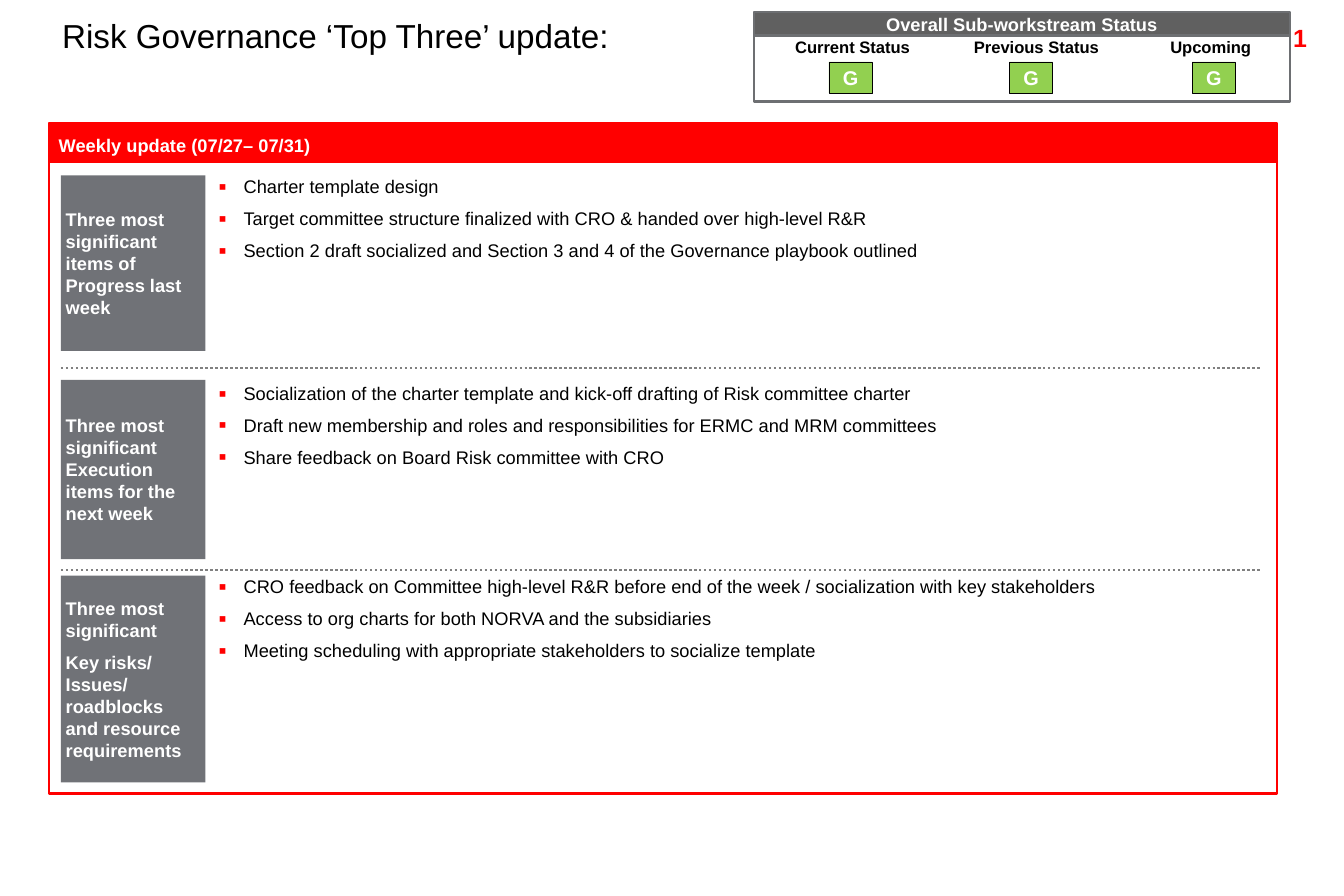
"""Build the weekly Risk Governance 'Top Three' status slide."""
from dataclasses import dataclass

from lxml import etree
from pptx import Presentation
from pptx.dml.color import RGBColor
from pptx.enum.dml import MSO_LINE
from pptx.enum.shapes import MSO_CONNECTOR, MSO_SHAPE
from pptx.enum.text import MSO_ANCHOR, MSO_AUTO_SIZE, PP_ALIGN
from pptx.oxml.ns import qn
from pptx.util import Pt

LEFT, CENTER, RIGHT = PP_ALIGN.LEFT, PP_ALIGN.CENTER, PP_ALIGN.RIGHT
TOP, MIDDLE = MSO_ANCHOR.TOP, MSO_ANCHOR.MIDDLE
RECT, STRAIGHT = MSO_SHAPE.RECTANGLE, MSO_CONNECTOR.STRAIGHT
DOTTED = MSO_LINE.ROUND_DOT
NO_AUTOFIT = MSO_AUTO_SIZE.NONE


@dataclass(frozen=True)
class Theme:
    """Fonts, colours and type sizes of the slide."""
    font: str = "Arial"
    red: str = "FF0000"
    black: str = "000000"
    white: str = "FFFFFF"
    label: str = "707277"
    banner: str = "606060"
    frame: str = "6D6F72"
    divider: str = "808080"
    green: str = "92D050"
    title: float = 20
    number: float = 15
    chip: float = 12
    body: float = 11
    small: float = 10


THEME = Theme()

STATUSES = [
    ("Current Status ", "G", 515.2, 512.6),
    ("Previous Status", "G", 624.6, 621.4),
    ("Upcoming", "G", 729.7, 731.5),
]

SECTIONS = [
    (105.8, 105.8, 105.8,
     ["Three most significant items of Progress last week"],
     ["Charter template design",
      "Target committee structure finalized with CRO & handed over high-level R&R",
      "Section 2 draft socialized and Section 3 and 4 of the Governance playbook outlined"]),
    (229, 108, 230.4,
     ["Three most significant Execution items for the next week"],
     ["Socialization of the charter template and kick-off drafting of Risk committee charter",
      "Draft new membership and roles and responsibilities for ERMC and MRM committees",
      "Share feedback on Board Risk committee with CRO"]),
    (347, 124.6, 347,
     ["Three most significant",
      "Key risks/ Issues/ roadblocks and resource requirements"],
     ["CRO feedback on Committee high-level R&R before end of the week / socialization with key stakeholders",
      "Access to org charts for both NORVA and the subsidiaries",
      "Meeting scheduling with appropriate stakeholders to socialize template"]),
]

DIVIDERS = [221.8, 343.4]


def rgb(color):
    """Turn a hex string into a colour."""
    return RGBColor.from_string(color)


def write(sp, lines, size, color, bold=False, align=LEFT, anchor=TOP,
          inset=(7.2, 3.6), before=0):
    """Fill a shape with formatted paragraphs."""
    tf = sp.text_frame
    tf.word_wrap = True
    tf.vertical_anchor = anchor
    tf.margin_left = tf.margin_right = Pt(inset[0])
    tf.margin_top = tf.margin_bottom = Pt(inset[1])
    tf.text = "\n".join(lines)
    for p in tf.paragraphs:
        p.alignment = align
        p.space_before = Pt(before)
        for r in p.runs:
            r.font.name = THEME.font
            r.font.size = Pt(size)
            r.font.bold = bold
            r.font.color.rgb = rgb(color)
    return tf


def add_box(shapes, x, y, w, h, fill, line=None, weight=1.5):
    """Add a flat rectangle."""
    sp = shapes.add_shape(RECT, Pt(x), Pt(y), Pt(w), Pt(h))
    sp.shadow.inherit = False
    sp.fill.solid()
    sp.fill.fore_color.rgb = rgb(fill)
    if line:
        sp.line.color.rgb = rgb(line)
        sp.line.width = Pt(weight)
    else:
        sp.line.fill.background()
    return sp


def add_text(shapes, x, y, w, h, lines, size, color, **style):
    """Add a text box."""
    sp = shapes.add_textbox(Pt(x), Pt(y), Pt(w), Pt(h))
    return write(sp, lines, size, color, **style)


def add_bullets(shapes, y, items):
    """Add a list with red square bullets."""
    tf = add_text(shapes, 131.8, y, 627.8, 52, items, THEME.body, THEME.black,
                  inset=(0, 0), before=6)
    for p in tf.paragraphs:
        p.level = 1
        pPr = p._p.get_or_add_pPr()
        pPr.set("marL", str(Pt(15)))
        pPr.set("indent", str(Pt(-15)))
        clr = etree.SubElement(pPr, qn("a:buClr"))
        etree.SubElement(clr, qn("a:srgbClr"), val=THEME.red)
        etree.SubElement(pPr, qn("a:buSzPct"), val="125000")
        etree.SubElement(pPr, qn("a:buFont"), typeface=THEME.font)
        etree.SubElement(pPr, qn("a:buChar"), char="▪")


def add_divider(shapes, y):
    """Add a dotted line between sections."""
    line = shapes.add_connector(STRAIGHT, Pt(36.7), Pt(y), Pt(759.6), Pt(y))
    line.line.color.rgb = rgb(THEME.divider)
    line.line.width = Pt(1.5)
    line.line.dash_style = DOTTED
    etree.SubElement(line._element.spPr, qn("a:effectLst"))


def add_title(slide, text):
    """Move and format the title placeholder."""
    sp = slide.shapes.title
    sp.left, sp.top, sp.width, sp.height = Pt(30.2), Pt(8.6), Pt(411.8), Pt(31)
    tf = write(sp, [text], THEME.title, THEME.black)
    tf.auto_size = NO_AUTOFIT
    tf.paragraphs[0].line_spacing = 0.9


def add_section(shapes, top, height, list_top, label, items):
    """Add a grey label with its list."""
    sp = add_box(shapes, 36.7, top, 87.1, height, THEME.label)
    write(sp, label, THEME.body, THEME.white, bold=True, anchor=MIDDLE,
          inset=(2.9, 2.9), before=6.6)
    add_bullets(shapes, list_top, items)


def add_status_panel(slide):
    """Add the grouped status panel."""
    shapes = slide.shapes.add_group_shape().shapes
    banner = add_box(shapes, 454.3, 7.2, 323.3, 14.4, THEME.banner, THEME.frame)
    write(banner, ["Overall Sub-workstream Status"], THEME.body, THEME.white,
          bold=True, align=CENTER, anchor=MIDDLE, inset=(2.2, 2.2))
    add_box(shapes, 454.3, 21.6, 323.3, 39.6, THEME.white, THEME.frame)
    for name, rating, name_x, chip_x in STATUSES:
        add_text(shapes, name_x - 71.6, 18.7, 143.2, 22.3, [name], THEME.small,
                 THEME.black, bold=True, align=CENTER)
        chip = add_box(shapes, chip_x - 13, 37.4, 26, 18.7, THEME.green,
                       THEME.black, 0.25)
        write(chip, [rating], THEME.chip, THEME.white, bold=True, align=CENTER,
              anchor=MIDDLE, inset=(0, 0))


def main():
    """Build and save the slide."""
    prs = Presentation()
    prs.slide_width, prs.slide_height = Pt(810), Pt(540)
    s = prs.slides.add_slide(prs.slide_layouts[5])
    add_title(s, "Risk Governance ‘Top Three’ update:")
    add_text(s.shapes, 717.8, 10.1, 77, 36, ["1"], THEME.number, THEME.red,
             bold=True, align=RIGHT)
    add_box(s.shapes, 29.5, 74.2, 740.2, 403.9, THEME.white, THEME.red)
    header = add_box(s.shapes, 29.5, 74.9, 740.2, 23, THEME.red, THEME.red, 0.75)
    write(header, ["Weekly update (07/27– 07/31)"], THEME.body, THEME.white,
          bold=True, inset=(5.8, 5.8))
    for y in DIVIDERS:
        add_divider(s.shapes, y)
    for section in SECTIONS:
        add_section(s.shapes, *section)
    add_status_panel(s)
    prs.save("out.pptx")


if __name__ == "__main__":
    main()
